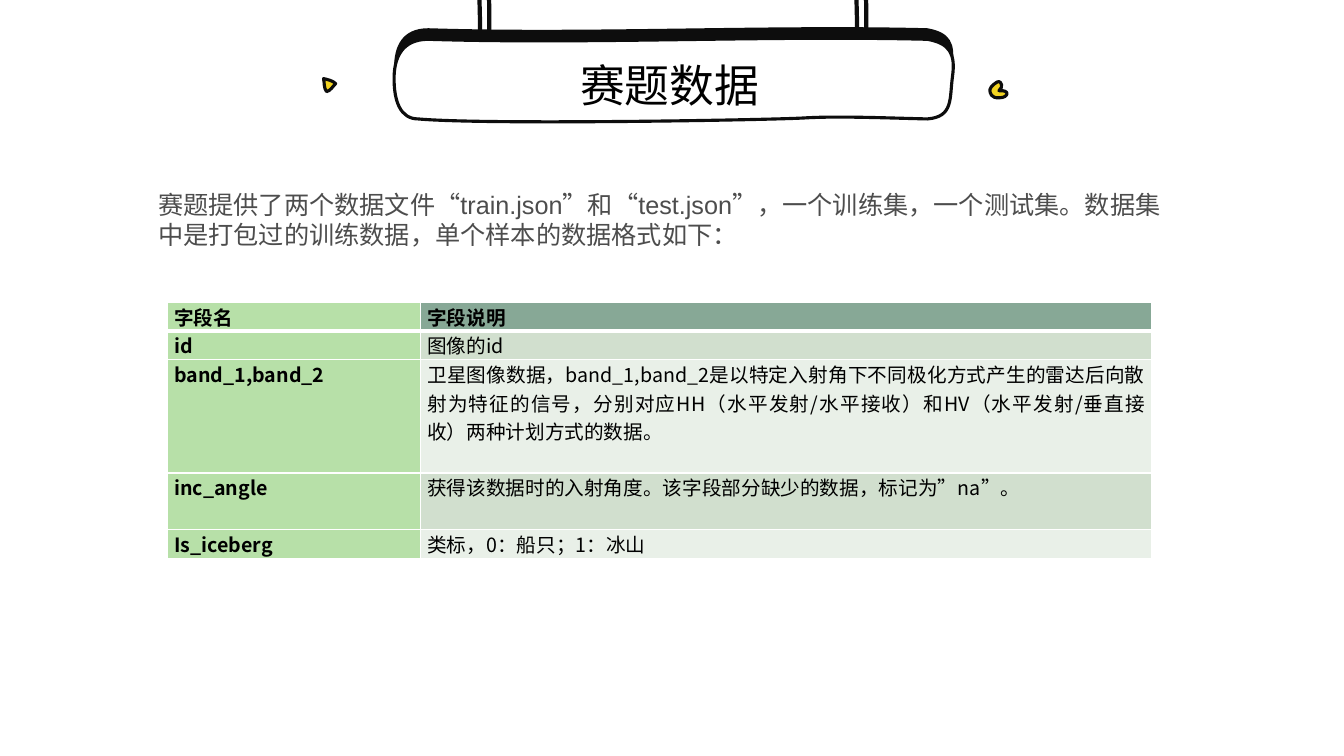
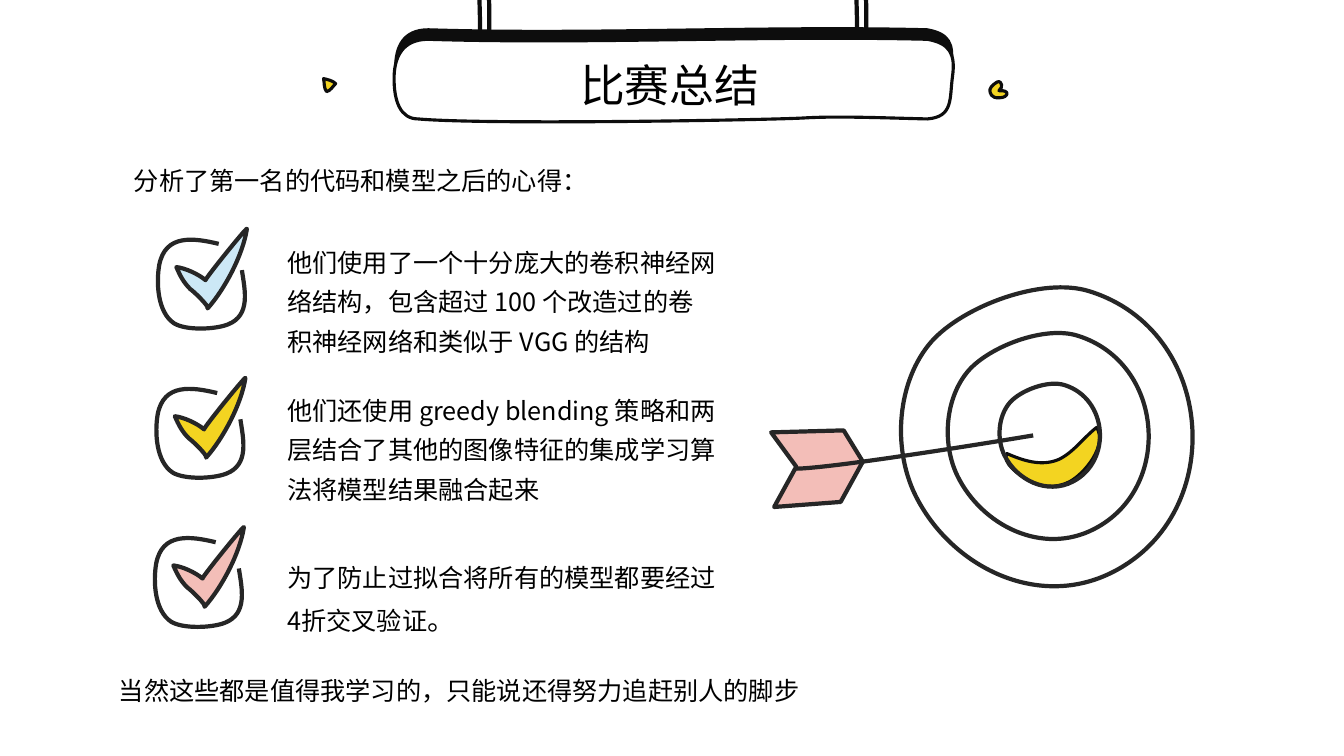
from lxml import etree
from pptx import Presentation
from pptx.dml.color import RGBColor
from pptx.enum import text as t
from pptx.oxml.ns import qn
from pptx.util import Pt

SANS = "Noto Sans CJK SC"
COLORS = {
    "white": "FFFFFF", "black": "000000", "ink": "0D0D0D", "outline": "262626",
    "body": "4D4D4D", "yellow": "F3D421", "blue": "CCE8F6", "pink": "F3BEB8",
    "field": "B7E0A8", "header": "87A896", "odd": "D1DFCE", "even": "E9F0E8",
}

DATA_TITLE = "赛题数据"
DATA_INTRO = ("赛题提供了两个数据文件“train.json”和“test.json”，一个训练集，一个测试集。"
              "数据集中是打包过的训练数据，单个样本的数据格式如下：")
FIELDS = [
    ("字段名", "字段说明", 1),
    ("id", "图像的id", 1),
    ("band_1,band_2",
     "卫星图像数据，band_1,band_2是以特定入射角下不同极化方式产生的雷达后向散射为特征的信号，"
     "分别对应HH（水平发射/水平接收）和HV（水平发射/垂直接收）两种计划方式的数据。", 4),
    ("inc_angle", "获得该数据时的入射角度。该字段部分缺少的数据，标记为”na”。", 2),
    ("Is_iceberg", "类标，0：船只；1：冰山", 1),
]
COLUMN_WIDTHS = (180.7, 522.7)
LINE_HEIGHT = 20.25

SUMMARY_TITLE = "比赛总结"
SUMMARY_INTRO = "分析了第一名的代码和模型之后的心得："
SUMMARY_CLOSE = "当然这些都是值得我学习的，只能说还得努力追赶别人的脚步"
LESSONS = [
    (["他们使用了一个十分庞大的卷积神经网络结构，包含超过 100 个改造过的卷积神经网络和类似于 VGG 的结构"],
     168, 88.6, "blue"),
    (["他们还使用 greedy blending 策略和两层结合了其他的图像特征的集成学习算法将模型结果融合起来"],
     273.8, 88.6, "yellow"),
    (["为了防止过拟合将所有的模型都要经过4折交叉验证", "。"], 393, 63.4, "pink"),
]

UNIT = 0.72
POST = [(850, -21), (859, -21), (859, 0, 860, 16, 859, 42), (850, 42),
        (851, 19, 849, 7, 850, -21)]
PLATE = [(391, 78), (391, 57, 399, 39, 425, 39), (584, 44, 762, 35, 920, 39),
         (943, 43, 948, 54, 945, 76), (942, 98, 946, 116, 920, 118),
         (879, 117, 831, 115, 798, 117), (765, 119, 483, 124, 415, 118),
         (397, 118, 391, 100, 391, 78)]
PEBBLE = [(982, 89), (982, 86, 990, 80, 991, 81), (993, 81, 996, 86, 991, 90),
          (1003, 89, 1000, 97, 992, 97), (983, 98, 982, 92, 982, 89)]
CHIP = [(324, 91), (321, 87, 322, 82, 321, 78), (325, 79, 330, 80, 333, 83),
        (330, 86, 328, 90, 324, 91)]
CHECK_BOX = [(217, 242), (192, 236, 164, 232, 158, 263),
             (155, 280, 156, 310, 173, 321), (185, 328, 213, 327, 226, 322),
             (249, 313, 243, 288, 240, 268)]
TICK = [(245, 227), (245, 225, 203, 277, 204, 278), (197, 272, 184, 266, 175, 265),
        (179, 274, 182, 280, 189, 287), (191, 288, 208, 304, 206, 306),
        (223, 287, 241, 253, 245, 227)]
CRESCENT = [(998, 453), (997, 463, 1017, 475, 1023, 478),
            (1035, 484, 1049, 484, 1061, 478), (1076, 470, 1099, 442, 1088, 424),
            (1075, 434, 1065, 449, 1050, 456), (1033, 463, 1015, 457, 999, 450),
            (999, 451, 998, 452, 998, 453)]
RING = [(908, 491), (943, 562, 1030, 606, 1105, 567),
        (1219, 508, 1206, 328, 1081, 289), (1034, 274, 955, 304, 924, 339),
        (890, 378, 885, 444, 908, 491)]
RING_CENTER = (1043, 431)
RING_RADII = (148, 102, 51)
FEATHER = [(790, 463), (765, 429), (837, 427), (856, 458), (834, 498), (768, 503),
           (790, 463)]
SHAFT = [(1025, 432), (1025, 432, 834, 464, 790, 465)]


def rgb(name):
    return RGBColor.from_string(COLORS[name])


def shifted(outline, dx, dy):
    return [tuple(v + (dy if i % 2 else dx) for i, v in enumerate(seg)) for seg in outline]


def scaled(outline, ratio):
    return [tuple(RING_CENTER[i % 2] + ratio * (v - RING_CENTER[i % 2])
                  for i, v in enumerate(seg)) for seg in outline]


def bend(sp, outline):
    corners = list(sp.element.iter(qn("a:lnTo")))
    for seg in outline[1:]:
        count = len(seg) // 2
        group, corners = corners[:count], corners[count:]
        if count == 3:
            curve = etree.Element(qn("a:cubicBezTo"))
            group[0].addprevious(curve)
            for corner in group:
                curve.append(corner[0])
                corner.getparent().remove(corner)


def draw(slide, outline, fill=None, line="outline", weight=3, close=True):
    first, *rest = [(Pt(seg[i] * UNIT), Pt(seg[i + 1] * UNIT))
                    for seg in outline for i in range(0, len(seg), 2)]
    builder = slide.shapes.build_freeform(*first, scale=1.0)
    builder.add_line_segments(rest, close=close)
    sp = builder.convert_to_shape()
    bend(sp, outline)
    sp.shadow.inherit = False
    if fill:
        sp.fill.solid()
        sp.fill.fore_color.rgb = rgb(fill)
    else:
        sp.fill.background()
    if line:
        sp.line.color.rgb = rgb(line)
        sp.line.width = Pt(weight)
    else:
        sp.line.fill.background()
    return sp


def style(p, size, font=SANS, color="black", bold=False, align=None):
    p.alignment = align
    p.font.size = Pt(size)
    p.font.name = font
    p.font.bold = bold
    p.font.color.rgb = rgb(color)


def add_text(slide, box, runs, font=SANS, color="black"):
    tf = slide.shapes.add_textbox(*map(Pt, box)).text_frame
    tf.word_wrap = True
    p = tf.paragraphs[0]
    for run in runs:
        p.add_run().text = run
    style(p, 18, font, color)
    return tf


def add_sign(layout, slide):
    parts = [
        draw(slide, POST, "white", "ink"),
        draw(slide, shifted(POST, -374, 0), "white", "ink"),
        draw(slide, shifted(PLATE, 0, -11), "ink", None),
        draw(slide, PLATE, "white", "ink", 2.25),
        draw(slide, PEBBLE, "yellow", "ink", 2.25),
        draw(slide, CHIP, "yellow", "ink", 2.25),
    ]
    for number, sp in enumerate(parts, 100):
        sp.element.nvSpPr.cNvPr.set("id", str(number))
        layout.shapes.element.append(sp.element)


def set_title(slide, title):
    sp = slide.shapes.title
    sp.left, sp.top, sp.width, sp.height = map(Pt, (344.2, 37.4, 268.6, 46))
    tf = sp.text_frame
    tf.text = title
    tf.auto_size = t.MSO_AUTO_SIZE.NONE
    tf.vertical_anchor = t.MSO_ANCHOR.TOP
    style(tf.paragraphs[0], 32, align=t.PP_ALIGN.CENTER)


def set_borders(cell, bottom, top):
    props = cell._tc.get_or_add_tcPr()
    widths = (("a:lnL", 1), ("a:lnR", 1), ("a:lnT", top), ("a:lnB", bottom))
    for i, (tag, width) in enumerate(widths):
        ln = etree.Element(qn(tag), w=str(Pt(width)))
        fill = etree.SubElement(ln, qn("a:solidFill"))
        etree.SubElement(fill, qn("a:srgbClr"), val=COLORS["white"])
        props.insert(i, ln)


def add_fields(slide):
    height = LINE_HEIGHT * sum(lines for *_, lines in FIELDS)
    table = slide.shapes.add_table(len(FIELDS), 2, Pt(119.5), Pt(216),
                                   Pt(sum(COLUMN_WIDTHS)), Pt(height)).table
    for column, width in zip(table.columns, COLUMN_WIDTHS):
        column.width = Pt(width)
    for r, (*texts, lines) in enumerate(FIELDS):
        table.rows[r].height = Pt(LINE_HEIGHT * lines)
        note_fill = "header" if r == 0 else "odd" if r % 2 else "even"
        for c, value in enumerate(texts):
            cell = table.cell(r, c)
            cell.text = value
            cell.margin_left = cell.margin_right = Pt(5)
            cell.margin_top = cell.margin_bottom = Pt(0)
            cell.fill.solid()
            cell.fill.fore_color.rgb = rgb(note_fill if c else "field")
            set_borders(cell, 3 if r == 0 else 1, 3 if r == 1 else 1)
            style(cell.text_frame.paragraphs[0], 14, bold=r == 0 or c == 0,
                  align=t.PP_ALIGN.JUSTIFY)


def add_lessons(slide):
    for i, (runs, top, height, color) in enumerate(LESSONS):
        tf = add_text(slide, (202.3, top, 313.9, height), runs)
        tf.vertical_anchor = t.MSO_ANCHOR.MIDDLE
        tf.margin_left = tf.margin_right = tf.margin_top = tf.margin_bottom = Pt(3)
        p = tf.paragraphs[0]
        p.line_spacing = 1.3
        for r in p.runs[1:]:
            r.font.size = Pt(20)
        dx, dy = -1.5 * i, 148 * i
        draw(slide, shifted(CHECK_BOX, dx, dy), close=False)
        draw(slide, shifted(TICK, dx, dy), color)


def add_target(slide):
    draw(slide, CRESCENT, "yellow", "ink", 2.25)
    for radius in RING_RADII:
        draw(slide, scaled(RING, radius / RING_RADII[0]))
    draw(slide, FEATHER, "pink")
    draw(slide, SHAFT, close=False)


def main():
    prs = Presentation()
    prs.slide_width, prs.slide_height = Pt(960), Pt(540)
    layout = prs.slide_layouts[5]

    s = prs.slides.add_slide(layout)
    add_sign(layout, s)
    set_title(s, DATA_TITLE)
    add_fields(s)
    add_text(s, (105.8, 131.8, 730.8, 72.7), [DATA_INTRO], "Arial", "body")

    s = prs.slides.add_slide(layout)
    set_title(s, SUMMARY_TITLE)
    add_lessons(s)
    add_target(s)
    add_text(s, (88.6, 114.5, 365, 29), [SUMMARY_INTRO])
    add_text(s, (77.8, 478.8, 505.4, 29), [SUMMARY_CLOSE])

    prs.save("out.pptx")


if __name__ == "__main__":
    main()
